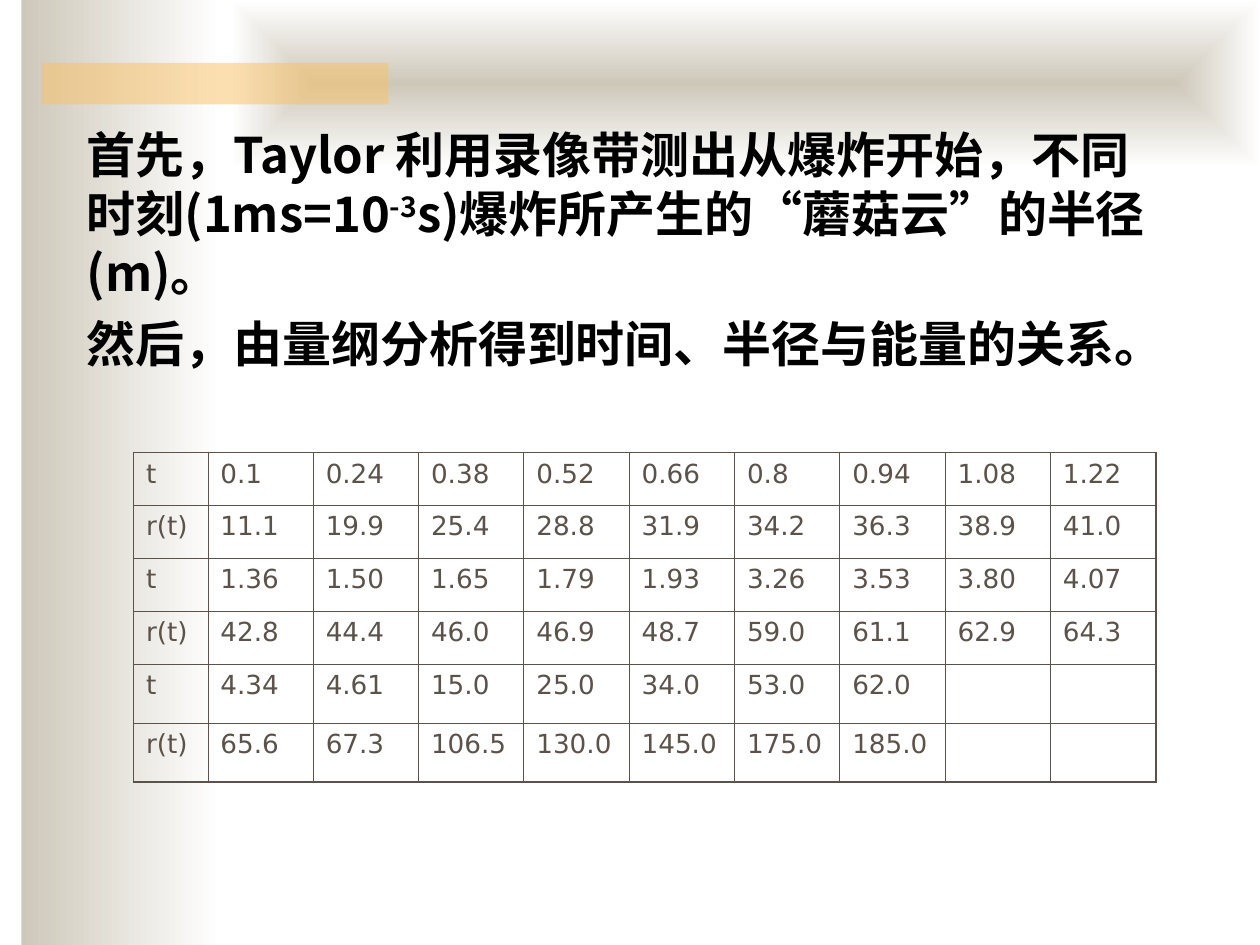
from lxml import etree
from pptx import Presentation
from pptx.dml.color import RGBColor
from pptx.enum.shapes import MSO_SHAPE
from pptx.oxml.ns import qn
from pptx.util import Inches, Pt

RECT = MSO_SHAPE.RECTANGLE
BODY_FONT = "Noto Sans CJK SC"
SERIF_FONT = "Times New Roman"
TABLE_FONT = "DejaVu Sans"
SAND, WHITE, GOLD, BROWN, BLACK = "CEC8BA", "FFFFFF", "FAC164", "5B5249", "000000"

PARAGRAPHS = [
    (BODY_FONT, [("首先，Taylor 利用录像带测出从爆炸开始，不同时刻(1ms=10", 0),
                 ("-3", 30),
                 ("s)爆炸所产生的“蘑菇云”的半径(m)。", 0)]),
    (SERIF_FONT, [("然后，由量纲分析得到时间、半径与能量的关系。", 0)]),
]
MEASUREMENTS = [
    ["t", "0.1", "0.24", "0.38", "0.52", "0.66", "0.8", "0.94", "1.08", "1.22"],
    ["r(t)", "11.1", "19.9", "25.4", "28.8", "31.9", "34.2", "36.3", "38.9", "41.0"],
    ["t", "1.36", "1.50", "1.65", "1.79", "1.93", "3.26", "3.53", "3.80", "4.07"],
    ["r(t)", "42.8", "44.4", "46.0", "46.9", "48.7", "59.0", "61.1", "62.9", "64.3"],
    ["t", "4.34", "4.61", "15.0", "25.0", "34.0", "53.0", "62.0", "", ""],
    ["r(t)", "65.6", "67.3", "106.5", "130.0", "145.0", "175.0", "185.0", "", ""],
]
COL_WIDTHS = [0.59] + [0.836] * 9
ROW_HEIGHTS = [0.42] * 4 + [0.47] * 2


def rgb(color):
    return RGBColor.from_string(color)


def add(parent, tag, **attrs):
    """Append an XML child such as a:ln and return it."""
    return etree.SubElement(parent, qn(tag), {k: str(v) for k, v in attrs.items()})


class SlideBuilder:
    def __init__(self, slide):
        self.slide = slide

    def rect(self, x, y, w, h, color, alpha=100):
        sp = self.slide.shapes.add_shape(RECT, Inches(x), Inches(y), Inches(w), Inches(h))
        sp.shadow.inherit = False
        sp.line.fill.background()
        sp.fill.solid()
        sp.fill.fore_color.rgb = rgb(color)
        if alpha < 100:
            add(sp._element.spPr.find(".//" + qn("a:srgbClr")), "a:alpha", val=alpha * 1000)
        return sp

    def gradient_rect(self, x, y, w, h, start, end, from_center=False):
        sp = self.rect(x, y, w, h, start)
        solid = sp._element.spPr.find(qn("a:solidFill"))
        grad = etree.Element(qn("a:gradFill"), rotWithShape="1")
        stops = add(grad, "a:gsLst")
        for pos, color in ((0, start), (100000, end)):
            add(add(stops, "a:gs", pos=pos), "a:srgbClr", val=color)
        if from_center:
            path = add(grad, "a:path", path="rect")
            add(path, "a:fillToRect", l=50000, t=50000, r=50000, b=50000)
        else:
            add(grad, "a:lin", ang=0, scaled=1)
        solid.getparent().replace(solid, grad)

    def body(self, x, y, w, h, paragraphs):
        tf = self.slide.shapes.add_textbox(Inches(x), Inches(y), Inches(w), Inches(h)).text_frame
        tf.word_wrap = True
        tf.margin_top = Inches(0.08)
        for i, (font, runs) in enumerate(paragraphs):
            p = tf.add_paragraph() if i else tf.paragraphs[0]
            p.space_before = Pt(7 if i else 0)
            p.line_spacing = 1.0
            for text, baseline in runs:
                r = p.add_run()
                r.text = text
                r.font.size = Pt(28)
                r.font.bold = True
                r.font.name = font
                r.font.color.rgb = rgb(BLACK)
                rPr = r._r.get_or_add_rPr()
                add(rPr, "a:ea", typeface=BODY_FONT)
                if baseline:
                    rPr.set("baseline", str(baseline * 1000))

    def borders(self, cell, outer):
        """Draw all four sides, heavier on the sides where outer is true."""
        tcPr = cell._tc.get_or_add_tcPr()
        for side, is_outer in zip("LRTB", outer):
            ln = add(tcPr, "a:ln" + side, w=Pt(1.08 if is_outer else 0.45))
            add(add(ln, "a:solidFill"), "a:srgbClr", val=BROWN)

    def table(self, x, y, rows, widths, heights):
        last_row, last_col = len(heights) - 1, len(widths) - 1
        table = self.slide.shapes.add_table(
            len(heights), len(widths), Inches(x), Inches(y),
            Inches(sum(widths)), Inches(sum(heights))).table
        table.first_row = table.horz_banding = False
        for col, width in zip(table.columns, widths):
            col.width = Inches(width)
        for i, (values, height) in enumerate(zip(rows, heights)):
            table.rows[i].height = Inches(height)
            for j, value in enumerate(values):
                cell = table.cell(i, j)
                self.borders(cell, (j == 0, j == last_col, i == 0, i == last_row))
                cell.fill.background()
                if value:
                    p = cell.text_frame.paragraphs[0]
                    p.text = value
                    font = p.runs[0].font
                    font.size = Pt(15)
                    font.name = TABLE_FONT
                    font.color.rgb = rgb(BROWN)


def main():
    prs = Presentation()
    prs.slide_width, prs.slide_height = Inches(10), Inches(7.5)
    s = SlideBuilder(prs.slides.add_slide(prs.slide_layouts[6]))
    s.gradient_rect(0.17, 0, 1.58, 7.5, SAND, WHITE)
    s.gradient_rect(1.83, 0, 8.17, 1.33, SAND, WHITE, from_center=True)
    s.rect(0.33, 0.5, 2.75, 0.33, GOLD, alpha=50)
    s.body(0.59, 0.91, 8.83, 2.44, PARAGRAPHS)
    s.table(1.06, 3.59, MEASUREMENTS, COL_WIDTHS, ROW_HEIGHTS)
    prs.save("out.pptx")


if __name__ == "__main__":
    main()
